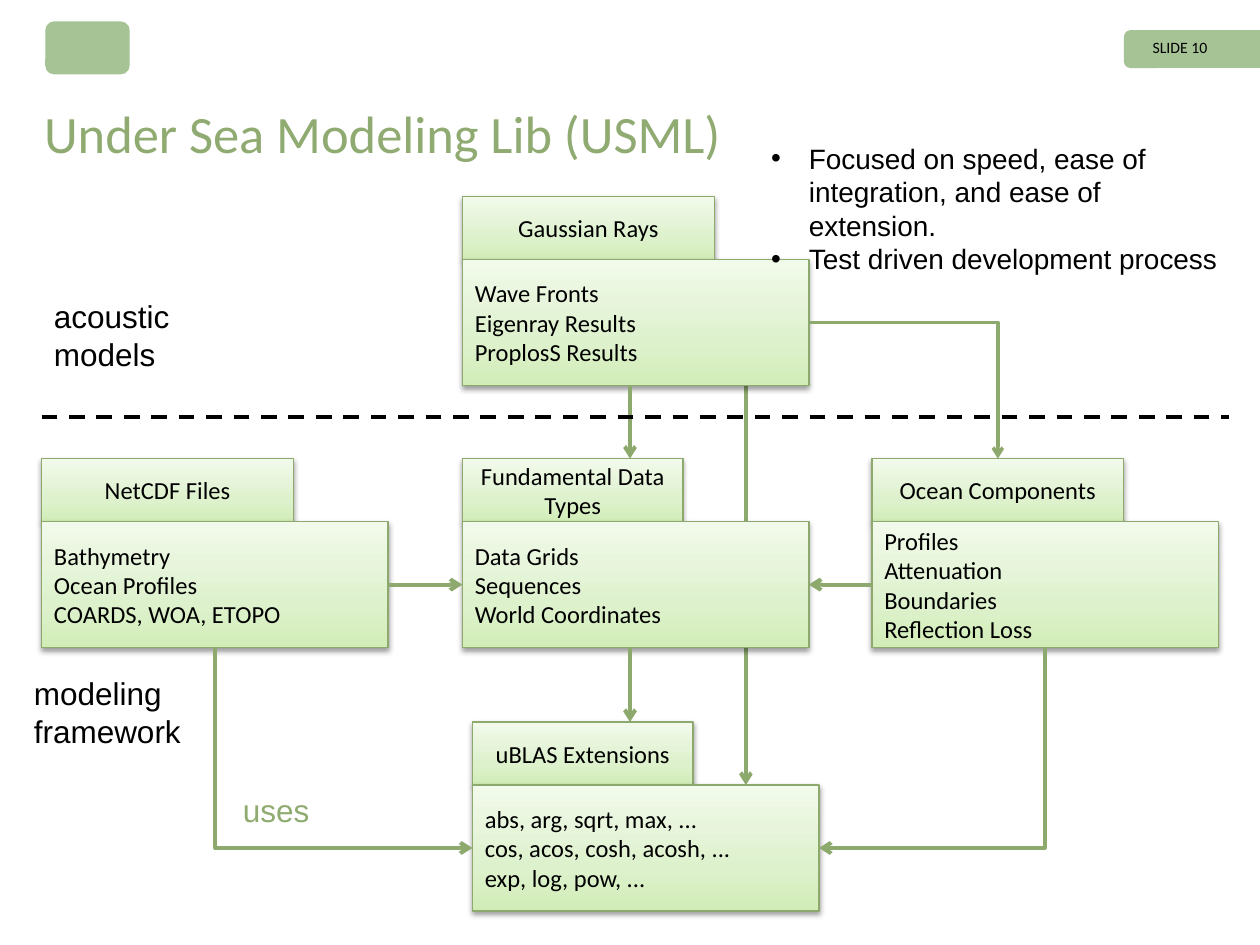
from copy import deepcopy
from dataclasses import dataclass

from lxml import etree
from pptx import Presentation
from pptx.dml.color import RGBColor
from pptx.enum.dml import MSO_LINE
from pptx.enum.shapes import MSO_CONNECTOR, MSO_SHAPE
from pptx.enum.text import MSO_ANCHOR, MSO_AUTO_SIZE, PP_ALIGN
from pptx.oxml.ns import qn
from pptx.util import Inches, Pt

RECTANGLE, ROUNDED = MSO_SHAPE.RECTANGLE, MSO_SHAPE.ROUNDED_RECTANGLE
STRAIGHT, ELBOW = MSO_CONNECTOR.STRAIGHT, MSO_CONNECTOR.ELBOW
LEFT, CENTER, RIGHT = PP_ALIGN.LEFT, PP_ALIGN.CENTER, PP_ALIGN.RIGHT
TOP, MIDDLE = MSO_ANCHOR.TOP, MSO_ANCHOR.MIDDLE
NO_AUTOSIZE = MSO_AUTO_SIZE.NONE
DASH = MSO_LINE.DASH
COLORS = {"text": "000000", "accent": "90AB71", "line": "8DA96D", "band": "A5C394"}
GRADIENT = [(0, "D1ECB7"), (0.35, "DEF1CD"), (1, "F2FAEB")]
TAB_HEIGHT, BODY_WIDTH, BODY_HEIGHT = 0.5, 2.75, 1


@dataclass
class Package:
    left: float
    top: float
    tab_width: float
    name: str
    contents: str


@dataclass
class Link:
    begin: tuple[float, float]
    end: tuple[float, float]
    arrow: str = "headEnd"
    kind: int = STRAIGHT
    width: float = 2.25


@dataclass
class Label:
    box: tuple[float, float, float, float]
    text: str
    size: float = 18
    font: str = "Arial"
    color: str = "text"
    align: int = LEFT
    wrap: bool = False


PACKAGES = [
    Package(3.67, 3.64, 1.75, "Fundamental Data Types",
            "Data Grids\nSequences\nWorld Coordinates"),
    Package(3.75, 5.73, 1.75, "uBLAS Extensions",
            "abs, arg, sqrt, max, ...\ncos, acos, cosh, acosh, ...\nexp, log, pow, ..."),
    Package(0.33, 3.64, 2, "NetCDF Files",
            "Bathymetry\nOcean Profiles\nCOARDS, WOA, ETOPO"),
    Package(6.92, 3.64, 2, "Ocean Components",
            "Profiles\nAttenuation\nBoundaries\nReflection Loss"),
    Package(3.67, 1.56, 2, "Gaussian Rays",
            "Wave Fronts\nEigenray Results\nProplosS Results"),
]
RAYS_TO_EXTENSIONS = Link((5.92, 6.23), (5.92, 3.06))
LINKS = [
    Link((5, 3.64), (5, 3.06)),
    Link((5, 5.73), (5, 5.14)),
    Link((6.42, 2.56), (7.92, 3.64), "tailEnd", ELBOW, 2),
    Link((3.67, 4.64), (3.08, 4.64)),
    Link((6.42, 4.64), (6.92, 4.64)),
    Link((6.5, 6.73), (8.29, 5.14), kind=ELBOW),
    Link((3.75, 6.73), (1.71, 5.14), kind=ELBOW),
]
LABELS = [
    Label((1.83, 6.23, 0.75, 0.4), "uses", color="accent"),
    Label((0.33, 2.31, 1.21, 0.71), "acoustic\nmodels"),
    Label((0.17, 5.3, 1.51, 0.71), "modeling\nframework"),
    Label((7.35, 0.25, 2.33, 0.52), "SLIDE 10", 9, "Calibri", align=RIGHT, wrap=True),
]


def rgb(name: str) -> RGBColor:
    return RGBColor.from_string(COLORS[name])


def write(frame, text: str, size: float, font: str, color: str = "text", align=LEFT) -> None:
    frame.text = text
    for paragraph in frame.paragraphs:
        paragraph.alignment = align
        for run in paragraph.runs:
            run.font.size, run.font.name = Pt(size), font
            run.font.color.rgb = rgb(color)


def place(shape, left: float, top: float, width: float, height: float) -> None:
    shape.left, shape.top = Inches(left), Inches(top)
    shape.width, shape.height = Inches(width), Inches(height)


def add_band(slide, kind, *box: float) -> None:
    band = slide.shapes.add_shape(kind, *map(Inches, box))
    band.shadow.inherit = False
    band.fill.solid()
    band.fill.fore_color.rgb = rgb("band")
    band.line.fill.background()


def add_soft_shadow(shape) -> None:
    shape.shadow.inherit = False
    effects = shape._element.spPr.find(qn("a:effectLst"))
    shadow = etree.SubElement(effects, qn("a:outerShdw"), blurRad=str(Pt(3.1)),
                              dist=str(Pt(1.6)), dir="5400000", rotWithShape="0")
    color = etree.SubElement(shadow, qn("a:srgbClr"), val=COLORS["text"])
    etree.SubElement(color, qn("a:alpha"), val="38000")


def add_panel(slide, box: tuple, text: str, align) -> None:
    panel = slide.shapes.add_shape(RECTANGLE, *map(Inches, box))
    panel.fill.gradient()
    panel.fill.gradient_angle = 90
    stops = panel._element.spPr.find(f".//{qn('a:gsLst')}")
    stops.insert(1, deepcopy(stops[0]))
    for stop, (position, color) in zip(panel.fill.gradient_stops, GRADIENT):
        stop.position = position
        stop.color.rgb = RGBColor.from_string(color)
    panel.line.color.rgb = rgb("line")
    panel.line.width = Pt(0.75)
    add_soft_shadow(panel)
    panel.text_frame.vertical_anchor = MIDDLE
    write(panel.text_frame, text, 14, "Calibri", align=align)


def add_package(slide, package: Package) -> None:
    left, top = package.left, package.top
    add_panel(slide, (left, top, package.tab_width, TAB_HEIGHT), package.name, CENTER)
    add_panel(slide, (left, top + TAB_HEIGHT, BODY_WIDTH, BODY_HEIGHT), package.contents, LEFT)


def add_line(slide, link: Link, color: str = "line"):
    line = slide.shapes.add_connector(link.kind, *map(Inches, link.begin + link.end))
    line.line.color.rgb = rgb(color)
    line.line.width = Pt(link.width)
    properties = line._element.spPr
    etree.SubElement(properties, qn("a:effectLst"))
    if link.kind == ELBOW:
        properties.find(qn("a:prstGeom")).set("prst", "bentConnector2")
    if link.arrow:
        etree.SubElement(properties.find(qn("a:ln")), qn(f"a:{link.arrow}"), type="arrow")
    return line


def add_label(slide, label: Label) -> None:
    box = slide.shapes.add_textbox(*map(Inches, label.box))
    box.text_frame.word_wrap = label.wrap
    write(box.text_frame, label.text, label.size, label.font, label.color, label.align)


def fill_title(title) -> None:
    place(title, 0.25, 0.85, 8.92, 0.58)
    frame = title.text_frame
    frame.auto_size, frame.vertical_anchor = NO_AUTOSIZE, TOP
    frame.margin_bottom = 0
    write(frame, "Under Sea Modeling Lib (USML)", 30, "Calibri", "accent")
    frame.paragraphs[0].line_spacing = 0.8


def fill_goals(goals) -> None:
    place(goals, 6.02, 1.07, 3.8, 0.91)
    frame = goals.text_frame
    frame.auto_size = NO_AUTOSIZE
    write(frame, "Focused on speed, ease of integration, and ease of extension.\n"
                 "Test driven development process", 16, "Arial")
    for paragraph in frame.paragraphs:
        paragraph.space_before = Pt(0)
        properties = paragraph._p.get_or_add_pPr()
        properties.set("marL", str(Inches(0.3)))
        properties.set("indent", str(-Inches(0.3)))


def main() -> None:
    deck = Presentation()
    deck.slide_width, deck.slide_height = Inches(10), Inches(7.5)
    slide = deck.slides.add_slide(deck.slide_layouts[1])
    fill_title(slide.shapes.title)
    add_band(slide, ROUNDED, 8.92, 0.24, 1.08, 0.3)
    add_band(slide, RECTANGLE, 9.95, 0.24, 0.05, 0.3)
    add_band(slide, ROUNDED, 0.36, 0.17, 0.67, 0.42)
    add_line(slide, RAYS_TO_EXTENSIONS)
    for package in PACKAGES:
        add_package(slide, package)
    for link in LINKS:
        add_line(slide, link)
    divider = add_line(slide, Link((0.33, 3.31), (9.75, 3.31), arrow=""), "text")
    divider.line.dash_style = DASH
    for label in LABELS:
        add_label(slide, label)
    goals = slide.placeholders[1]
    fill_goals(goals)
    slide.shapes._spTree.append(goals._element)
    deck.save("out.pptx")


if __name__ == "__main__":
    main()
